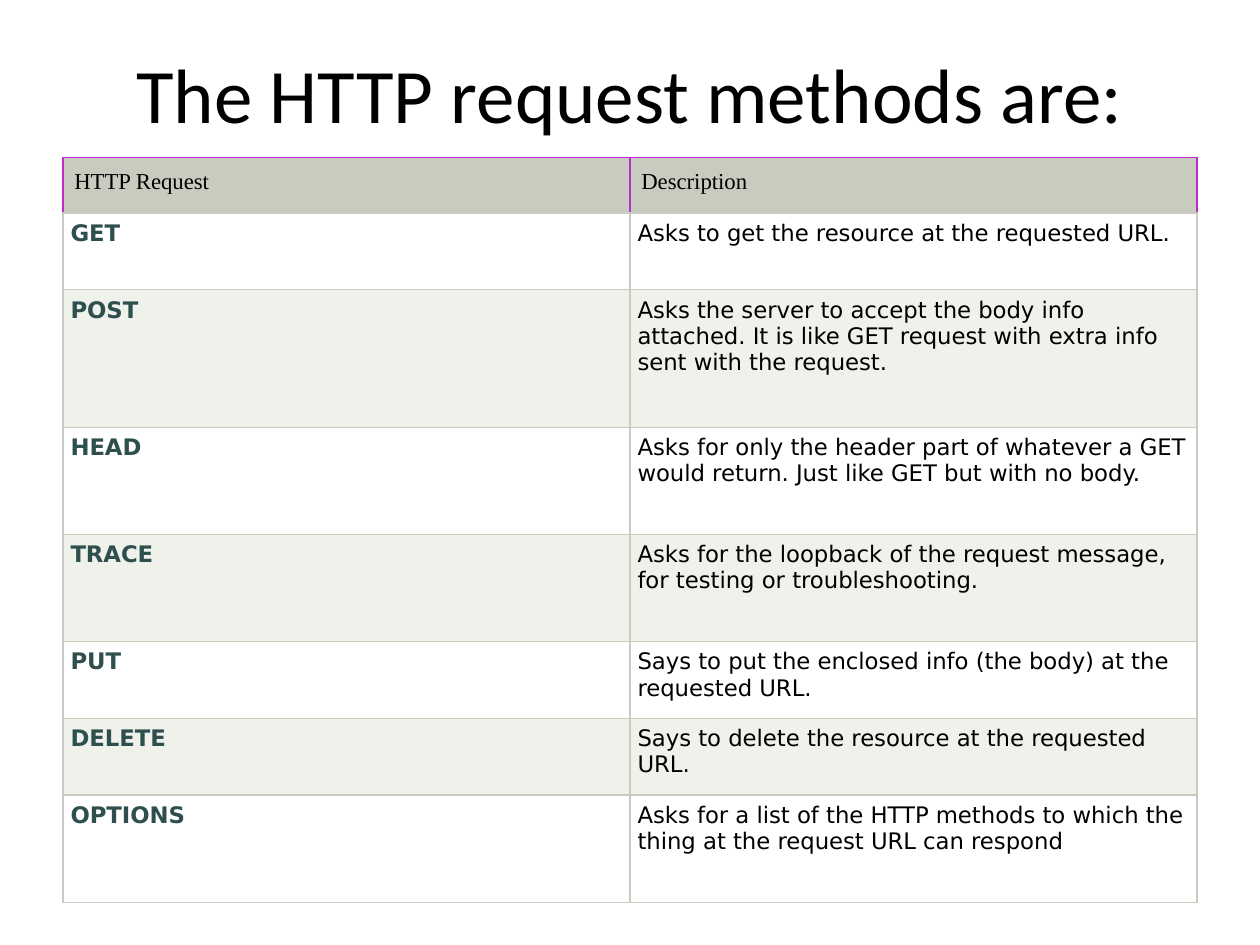
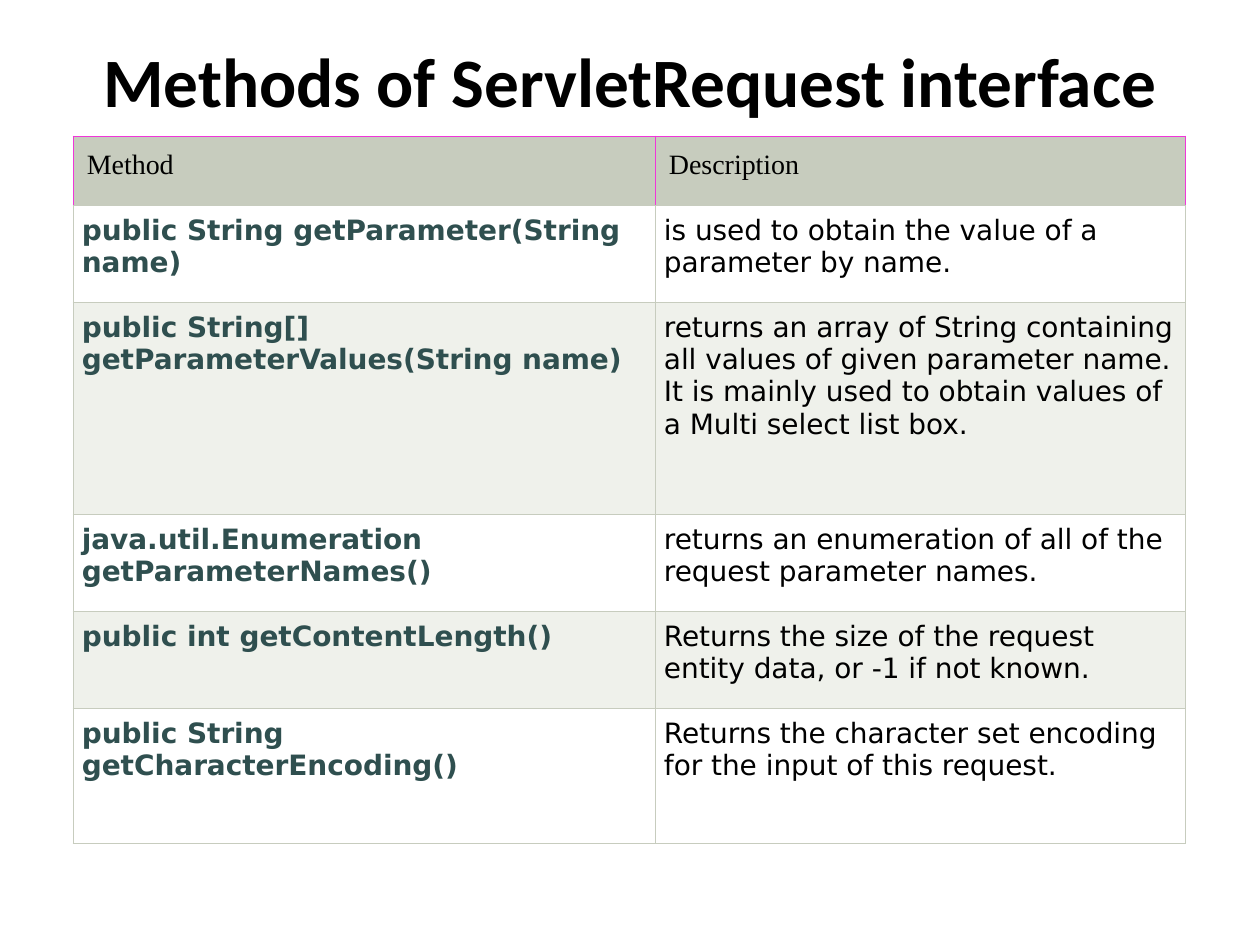
import pptx
import pptx.util
import pptx.dml.color
import pptx.enum.text
import pptx.oxml
import pptx.oxml.ns

INK, TEAL, SAGE, MIST, WHITE = "000000", "2F4F4F", "C7CCBE", "EFF1EB", "FFFFFF"
HEAD, BODY, TITLE = "Times New Roman", "DejaVu Sans", "Calibri"
ANCHOR = pptx.enum.text.MSO_ANCHOR

deck = pptx.Presentation()
deck.slide_width = pptx.util.Inches(10)
deck.slide_height = pptx.util.Inches(7.5)


def color(code):
    """Turn a hex string into a colour."""
    return pptx.dml.color.RGBColor.from_string(code)


def frame(box):
    """Turn percentages of the slide into left, top, width and height."""
    sides = (deck.slide_width, deck.slide_height) * 2
    return [round(side * part / 100) for side, part in zip(sides, box)]


def write(para, text, font, size, code, bold=False):
    """Add one formatted run to a paragraph."""
    run = para.add_run()
    run.text = text
    run.font.name, run.font.size, run.font.bold = font, pptx.util.Pt(size), bold
    run.font.color.rgb = color(code)


def title(slide, box, text, size, bold, anchor, inset):
    """Place the centred slide title."""
    shape = slide.shapes.title
    shape.left, shape.top, shape.width, shape.height = frame(box)
    body = shape.text_frame
    body.word_wrap = True
    body.vertical_anchor = anchor
    body.margin_top = body.margin_bottom = pptx.util.Inches(inset)
    para = body.paragraphs[0]
    para.alignment = pptx.enum.text.PP_ALIGN.CENTER
    write(para, text, TITLE, size, INK, bold)


def edge(cell, codes):
    """Draw the left, right, top and bottom cell borders."""
    props = cell._tc.get_or_add_tcPr()
    space = pptx.oxml.ns.nsdecls("a")
    for spot, (side, code) in enumerate(zip("LRTB", codes)):
        props.insert(spot, pptx.oxml.parse_xml(
            f'<a:ln{side} {space} w="9525"><a:solidFill>'
            f'<a:srgbClr val="{code}"/></a:solidFill></a:ln{side}>'))


def fill(cell, text, font, size, code, bold, back, inset, lines):
    """Format one cell and write its text."""
    cell.fill.solid()
    cell.fill.fore_color.rgb = color(back)
    gap = pptx.util.Inches(inset)
    cell.margin_left = cell.margin_right = gap
    cell.margin_top = cell.margin_bottom = gap
    cell.vertical_anchor = ANCHOR.TOP
    write(cell.text_frame.paragraphs[0], text, font, size, code, bold)
    edge(cell, lines)


def table(slide, box, cols, rows, data, size, insets, line):
    """Place a two-column table with a header and striped rows."""
    left, top, width, height = frame(box)
    grid = slide.shapes.add_table(len(rows), len(cols), left, top, width, height).table
    grid.horz_banding = False
    for col, share in zip(grid.columns, cols):
        col.width = round(width * share / sum(cols))
    for row, share in zip(grid.rows, rows):
        row.height = round(height * share / sum(rows))
    for r, texts in enumerate(data):
        for c, text in enumerate(texts):
            cell = grid.cell(r, c)
            if r == 0:
                fill(cell, text, HEAD, size, INK, False, SAGE, insets[0],
                     [line, line, line, SAGE])
            else:
                fill(cell, text, BODY, size, INK if c else TEAL, c == 0,
                     WHITE if r % 2 else MIST, insets[1], [SAGE] * 4)


def page():
    """Add a slide that has only a title."""
    return deck.slides.add_slide(deck.slide_layouts[5])


VERBS = [
    ("HTTP Request", "Description"),
    ("GET", "Asks to get the resource at the requested URL."),
    ("POST", "Asks the server to accept the body info attached. "
             "It is like GET request with extra info sent with the request."),
    ("HEAD", "Asks for only the header part of whatever a GET would return. "
             "Just like GET but with no body."),
    ("TRACE", "Asks for the loopback of the request message, "
              "for testing or troubleshooting."),
    ("PUT", "Says to put the enclosed info (the body) at the requested URL."),
    ("DELETE", "Says to delete the resource at the requested URL."),
    ("OPTIONS", "Asks for a list of the HTTP methods to which the thing "
                "at the request URL can respond"),
]

CALLS = [
    ("Method", "Description"),
    ("public String getParameter(String name)",
     "is used to obtain the value of a parameter by name."),
    ("public String[] getParameterValues(String name)",
     "returns an array of String containing all values of given parameter name. "
     "It is mainly used to obtain values of a Multi select list box."),
    ("java.util.Enumeration getParameterNames()",
     "returns an enumeration of all of the request parameter names."),
    ("public int getContentLength()",
     "Returns the size of the request entity data, or -1 if not known."),
    ("public String getCharacterEncoding()",
     "Returns the character set encoding for the input of this request."),
]

verbs = page()
title(verbs, (5, 4, 90, 11.6), "The HTTP request methods are:", 44, False,
      ANCHOR.MIDDLE, 0.05)
table(verbs, (5, 16.67, 90, 78.8), (1, 1),
      (0.44, 0.61, 1.09, 0.85, 0.85, 0.61, 0.61, 0.85),
      VERBS, 13, (0.09, 0.06), "C02BCF")

calls = page()
title(calls, (5, 4, 90, 16.67), "Methods of ServletRequest interface", 39.6, True,
      ANCHOR.TOP, 0)
table(calls, (5.8, 14.4, 88.3, 74.9), (4.62, 4.21),
      (0.55, 0.77, 1.68, 0.77, 0.77, 1.07),
      CALLS, 16, (0.11, 0.07), "F036D9")

deck.save("out.pptx")
